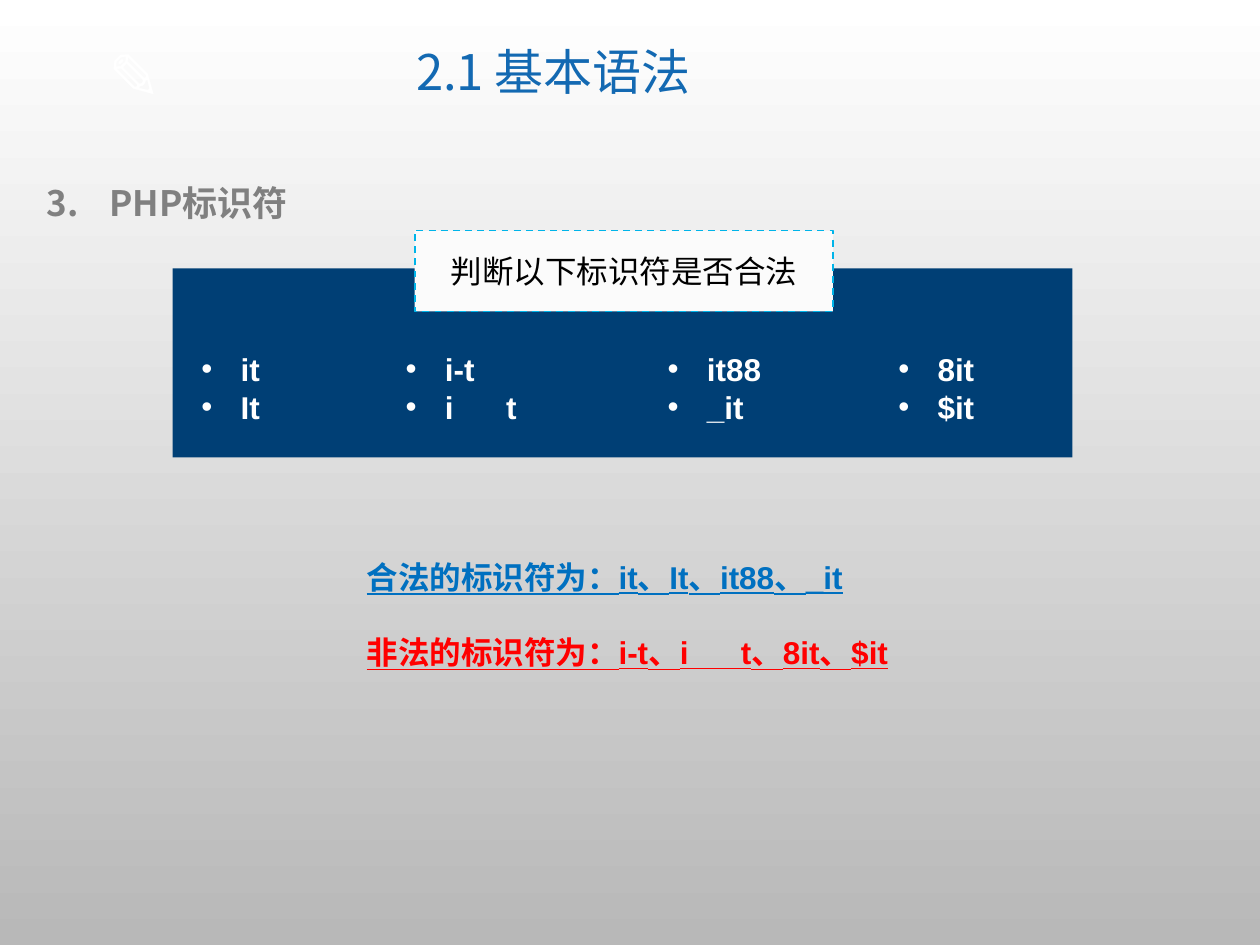
from collections import namedtuple
from dataclasses import dataclass

from lxml.etree import SubElement as Sub
from pptx import Presentation
from pptx.dml.color import RGBColor as Rgb
from pptx.enum.dml import MSO_LINE as Dash
from pptx.enum.shapes import MSO_SHAPE as Shape
from pptx.enum.text import MSO_ANCHOR as Anchor, MSO_AUTO_SIZE as Fit, PP_ALIGN as Align
from pptx.oxml.ns import qn
from pptx.util import Cm, Pt

Box = namedtuple("Box", "x y w h")


@dataclass(frozen=True)
class Theme:
    white: str = "FFFFFF"
    shade: str = "B8B8B8"
    navy: str = "003F75"
    title: str = "1369B2"
    gray: str = "808080"
    paper: str = "FBFBFB"
    cyan: str = "00B4E9"
    black: str = "000000"
    good: str = "0070C0"
    bad: str = "FF0000"
    latin: str = "Arial"
    plain: str = "Calibri"
    cjk: str = "Noto Sans CJK SC"
    icon: int = 36
    large: int = 28
    head: int = 20
    body: int = 18


T = Theme()
SPACED = "i      t"  # an identifier with spaces inside


def color(code):
    return Rgb.from_string(code)


def inside(box, x, y, w, h):
    """Turn offsets from a box's corner into a box on the slide."""
    return Box(box.x + x, box.y + y, w, h)


def mark(par, indent, tag, **attrs):
    """Give a paragraph a hanging bullet or number."""
    props = par._p.get_or_add_pPr()
    props.set("marL", str(Cm(indent)))
    props.set("indent", str(-Cm(indent)))
    if tag == "a:buChar":
        Sub(props, qn("a:buFont"), typeface=T.latin)
    Sub(props, qn(tag), **attrs)


def add_text(slide, box, lines, *, size=T.body, font=T.latin, tints=(T.black,),
             bold=False, under=False, align=Align.LEFT, anchor=Anchor.TOP,
             space=None, wrap=True, fit=Fit.SHAPE_TO_FIT_TEXT):
    """Write one paragraph a line, cycling through tints; return them."""
    frame = slide.shapes.add_textbox(*map(Cm, box)).text_frame
    frame.word_wrap = wrap
    frame.auto_size = fit
    frame.vertical_anchor = anchor
    for i, line in enumerate(lines):
        par = frame.add_paragraph() if i else frame.paragraphs[0]
        par.alignment = align
        if space:
            par.line_spacing = space
        run = par.add_run()
        run.text = line
        run.font.size = Pt(size)
        run.font.name = font
        run.font.bold = bold
        run.font.underline = under
        run.font.color.rgb = color(tints[i % len(tints)])
        Sub(run.font._element, qn("a:ea"), typeface=T.cjk)
    return frame.paragraphs


def add_rect(slide, box, fill, line=None):
    rect = slide.shapes.add_shape(Shape.RECTANGLE, *map(Cm, box))
    rect.shadow.inherit = False
    rect.fill.solid()
    rect.fill.fore_color.rgb = color(fill)
    if line:
        rect.line.color.rgb = color(line)
        rect.line.width = Pt(1)
        rect.line.dash_style = Dash.DASH
    else:
        rect.line.fill.background()


def add_back(slide):
    fill = slide.background.fill
    fill.gradient()
    fill.gradient_angle = 270
    for stop, place, tint in zip(fill.gradient_stops, (0, 1), (T.white, T.shade)):
        stop.position = place
        stop.color.rgb = color(tint)


def add_header(slide, box):
    add_text(slide, inside(box, 1.93, 0.61, 2.18, 1.8), ["✎"], size=T.icon,
             font=T.cjk, tints=(T.white,), bold=True, wrap=False)
    add_text(slide, inside(box, 4.6, 0.43, 13.11, 2.16), ["2.1 基本语法"],
             size=T.large, font=T.cjk, tints=(T.title,), align=Align.CENTER,
             anchor=Anchor.MIDDLE, space=0.9, fit=Fit.NONE)


def add_heading(slide, box):
    par, = add_text(slide, box, ["PHP标识符"], size=T.head, font=T.cjk,
                    tints=(T.gray,), bold=True)
    mark(par, 1.27, "a:buAutoNum", type="arabicPeriod", startAt="3")


def add_panel(slide, box):
    add_rect(slide, box, T.navy)
    cols = [
        (0.33, 3.84, ("it", "It")),
        (4.45, 3.18, ("i-t", SPACED)),
        (9.73, 3.84, ("it88", "_it")),
        (14.38, 3.48, ("8it", "$it")),
    ]
    for x, w, names in cols:
        for par in add_text(slide, inside(box, x, 1.52, w, 1.8), names,
                            tints=(T.white,), bold=True):
            mark(par, 0.79, "a:buChar", char="•")


def add_caption(slide, box):
    add_rect(slide, box, T.paper, T.cyan)
    add_text(slide, inside(box, 0, 0.3, box.w, 1.02), ["判断以下标识符是否合法"],
             font=T.plain, align=Align.CENTER)


def add_answers(slide, box):
    add_text(slide, box, ["合法的标识符为：it、It、it88、_it",
                          f"非法的标识符为：i-t、{SPACED}、8it、$it"],
             tints=(T.good, T.bad), bold=True, under=True, space=2.0)


def main():
    deck = Presentation()
    deck.slide_width, deck.slide_height = Cm(25.4), Cm(19.05)
    slide = deck.slides.add_slide(deck.slide_layouts[6])
    add_back(slide)
    add_header(slide, Box(0, 0, 25.4, 2.6))
    add_panel(slide, Box(3.48, 5.41, 18.14, 3.81))
    add_heading(slide, Box(0.69, 3.53, 23.42, 1.12))
    add_caption(slide, Box(8.36, 4.65, 8.43, 1.63))
    add_answers(slide, Box(7.14, 10.36, 11.66, 3.33))
    deck.save("out.pptx")


if __name__ == "__main__":
    main()
